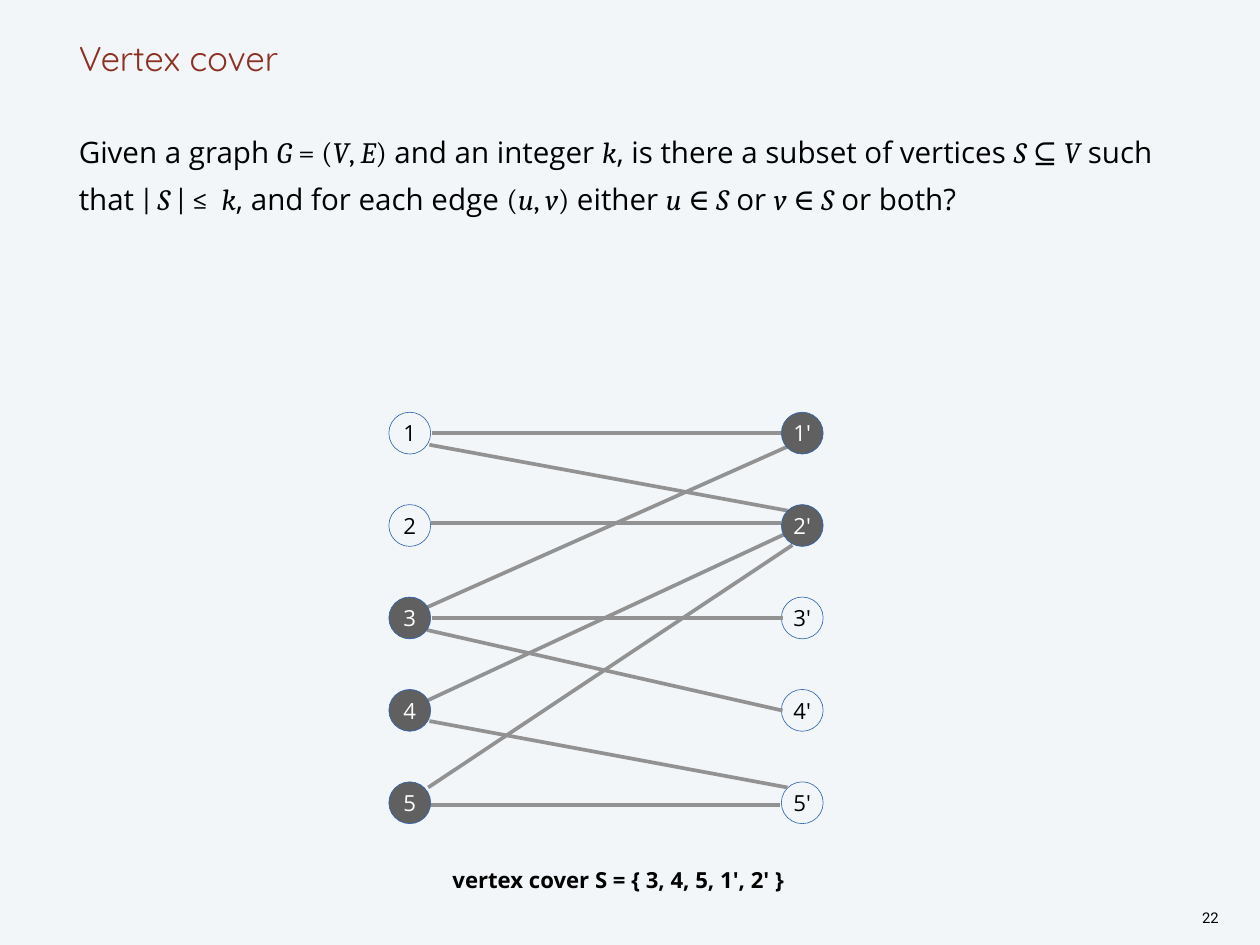
from dataclasses import dataclass

from lxml.etree import SubElement
from pptx import Presentation
from pptx.dml.color import RGBColor
from pptx.enum.shapes import MSO_CONNECTOR, MSO_SHAPE
from pptx.enum.text import MSO_ANCHOR, PP_ALIGN
from pptx.oxml.ns import qn
from pptx.util import Pt


@dataclass(frozen=True)
class Theme:
    background: str = "F2F6F9"
    heading: str = "8D3124"
    ink: str = "000000"
    inverse: str = "FFFFFF"
    covered: str = "606060"
    outline: str = "2F63B0"
    edge: str = "929292"
    heading_font: str = "Quicksand"
    body_font: str = "Open Sans"
    math_font: str = "Cambria"
    number_font: str = "Roboto"
    heading_size: int = 28
    body_size: int = 24
    label_size: int = 18
    number_size: int = 12


class SlideBuilder:
    def __init__(self, prs, theme):
        self.theme = theme
        self.s = prs.slides.add_slide(prs.slide_layouts[5])
        fill = self.s.background.fill
        fill.solid()
        fill.fore_color.rgb = RGBColor.from_string(theme.background)

    def style(self, r, font, size, color, bold=False, italic=False):
        r.font.name = font
        r.font.size = Pt(size)
        r.font.color.rgb = RGBColor.from_string(color)
        r.font.bold = bold
        r.font.italic = italic

    def frame(self, sp, anchor=MSO_ANCHOR.TOP, wrap=True, inset=0):
        tf = sp.text_frame
        tf.word_wrap = wrap
        tf.vertical_anchor = anchor
        tf.margin_left = tf.margin_right = Pt(inset)
        tf.margin_top = tf.margin_bottom = Pt(inset)
        return tf

    def title(self, text, x, y, w, h):
        sp = self.s.shapes.title
        sp.left, sp.top, sp.width, sp.height = Pt(x), Pt(y), Pt(w), Pt(h)
        tf = self.frame(sp, MSO_ANCHOR.BOTTOM)
        tf.text = text
        p = tf.paragraphs[0]
        p.alignment = PP_ALIGN.LEFT
        p.line_spacing = Pt(38)
        self.style(p.runs[0], self.theme.heading_font, self.theme.heading_size,
                   self.theme.heading)

    def statement(self, parts, x, y, w, h):
        t = self.theme
        sp = self.s.shapes.add_textbox(Pt(x), Pt(y), Pt(w), Pt(h))
        p = self.frame(sp).paragraphs[0]
        p.line_spacing = Pt(38)
        for kind, text in parts:
            r = p.add_run()
            r.text = text
            font = t.body_font if kind == "text" else t.math_font
            self.style(r, font, t.body_size, t.ink, italic=kind == "var")

    def label(self, text, x, y, w, h, font, size, spacing, bold=False, inset=0):
        sp = self.s.shapes.add_textbox(Pt(x), Pt(y), Pt(w), Pt(h))
        tf = self.frame(sp, wrap=False, inset=inset)
        tf.text = text
        p = tf.paragraphs[0]
        p.alignment = PP_ALIGN.CENTER
        p.line_spacing = spacing
        self.style(p.runs[0], font, size, self.theme.ink, bold=bold)

    def vertex(self, text, cx, cy, d, covered):
        t = self.theme
        sp = self.s.shapes.add_shape(MSO_SHAPE.OVAL, Pt(cx - d / 2), Pt(cy - d / 2),
                                     Pt(d), Pt(d))
        sp.shadow.inherit = False
        if covered:
            sp.fill.solid()
            sp.fill.fore_color.rgb = RGBColor.from_string(t.covered)
        else:
            sp.fill.background()
        sp.line.color.rgb = RGBColor.from_string(t.outline)
        sp.line.width = Pt(0.5)
        tf = self.frame(sp, MSO_ANCHOR.MIDDLE, wrap=False)
        tf.text = text
        p = tf.paragraphs[0]
        p.alignment = PP_ALIGN.CENTER
        self.style(p.runs[0], t.body_font, t.label_size,
                   t.inverse if covered else t.ink)

    def edge(self, x1, y1, x2, y2):
        cx = self.s.shapes.add_connector(MSO_CONNECTOR.STRAIGHT,
                                         Pt(x1), Pt(y1), Pt(x2), Pt(y2))
        cx.line.color.rgb = RGBColor.from_string(self.theme.edge)
        cx.line.width = Pt(3)
        SubElement(cx._element.spPr, qn("a:effectLst"))


STATEMENT = [
    ("text", "Given a graph "), ("var", "G"), ("math", " = ("), ("var", "V"),
    ("math", ", "), ("var", "E"), ("math", ")"), ("text", " and an integer "),
    ("var", "k"), ("text", ", is there a subset of vertices "), ("var", "S"),
    ("math", " ⊆ "), ("var", "V"), ("text", " such that "), ("math", "| "),
    ("var", "S "), ("math", "| ≤  "), ("var", "k"),
    ("text", ", and for each edge "), ("math", "("), ("var", "u"),
    ("math", ", "), ("var", "v"), ("math", ")"), ("text", " either "),
    ("var", "u"), ("math", " ∈ "), ("var", "S"), ("text", " or "),
    ("var", "v"), ("math", " ∈ "), ("var", "S"), ("text", " or both?"),
]
EDGES = [
    (351, 352, 635, 352), (350, 425, 635, 425), (351, 502, 636, 502),
    (349, 361.5, 640, 415), (347, 512, 636, 577.5), (349, 586, 640, 640),
    (348, 640, 644, 443), (348, 569, 638, 434), (349, 654, 634, 654),
    (346, 494, 640, 363),
]
COVER = ["3", "4", "5", "1'", "2'"]
SIDES = [("", 333), ("'", 652)]
FIRST_ROW, ROW_STEP, DIAMETER = 352, 75.1, 34
VERTICES = [(f"{i + 1}{mark}", x, FIRST_ROW + i * ROW_STEP)
            for mark, x in SIDES for i in range(5)]

prs = Presentation()
prs.slide_width, prs.slide_height = Pt(1024), Pt(768)
theme = Theme()
slide = SlideBuilder(prs, theme)
slide.title("Vertex cover", 64, 0, 896, 64)
slide.statement(STATEMENT, 64, 100, 896, 644)
slide.label("22", 972.7, 736, 22, 17, theme.number_font, theme.number_size,
            Pt(14), inset=3)
slide.label(f"vertex cover S = {{ {', '.join(COVER)} }}", 356, 698, 293, 21,
            theme.body_font, theme.label_size, 1.3, bold=True)
for name, x, y in VERTICES:
    if name not in COVER:
        slide.vertex(name, x, y, DIAMETER, covered=False)
for ends in EDGES:
    slide.edge(*ends)
for name, x, y in VERTICES:
    if name in COVER:
        slide.vertex(name, x, y, DIAMETER, covered=True)
prs.save("out.pptx")
